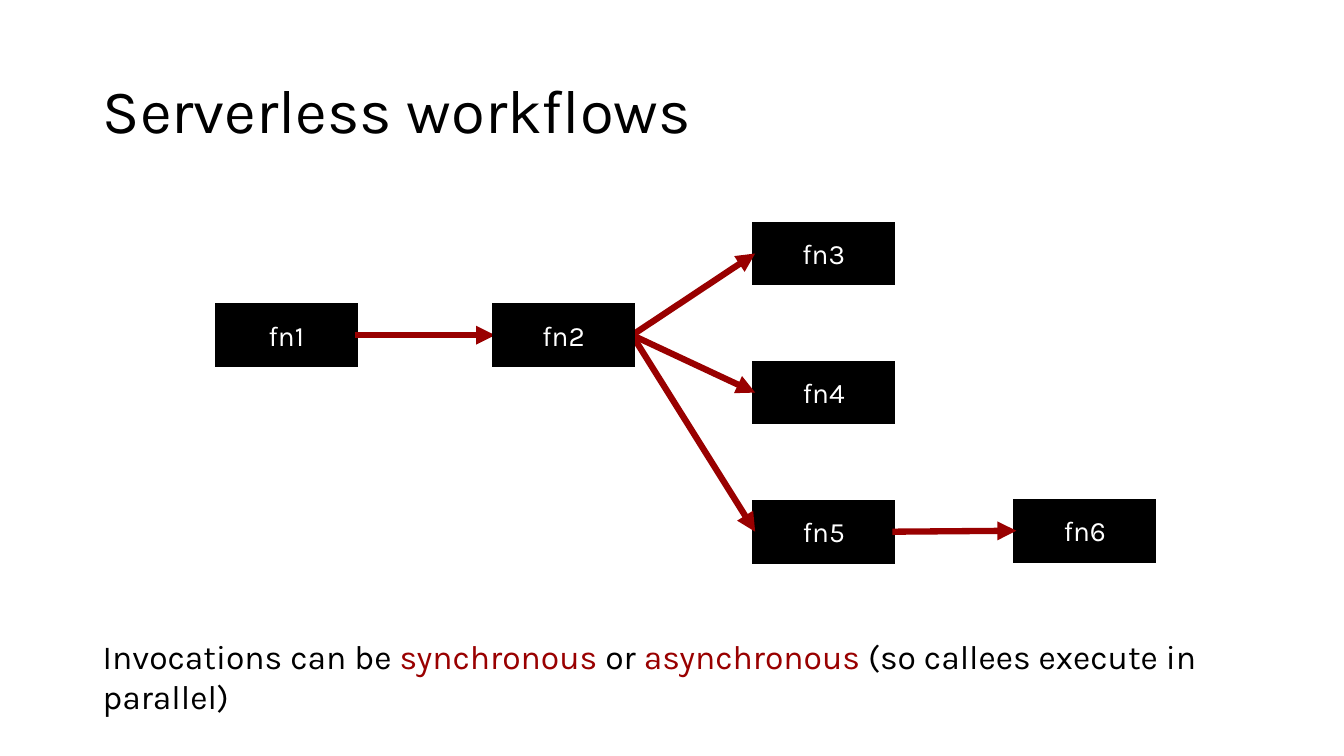
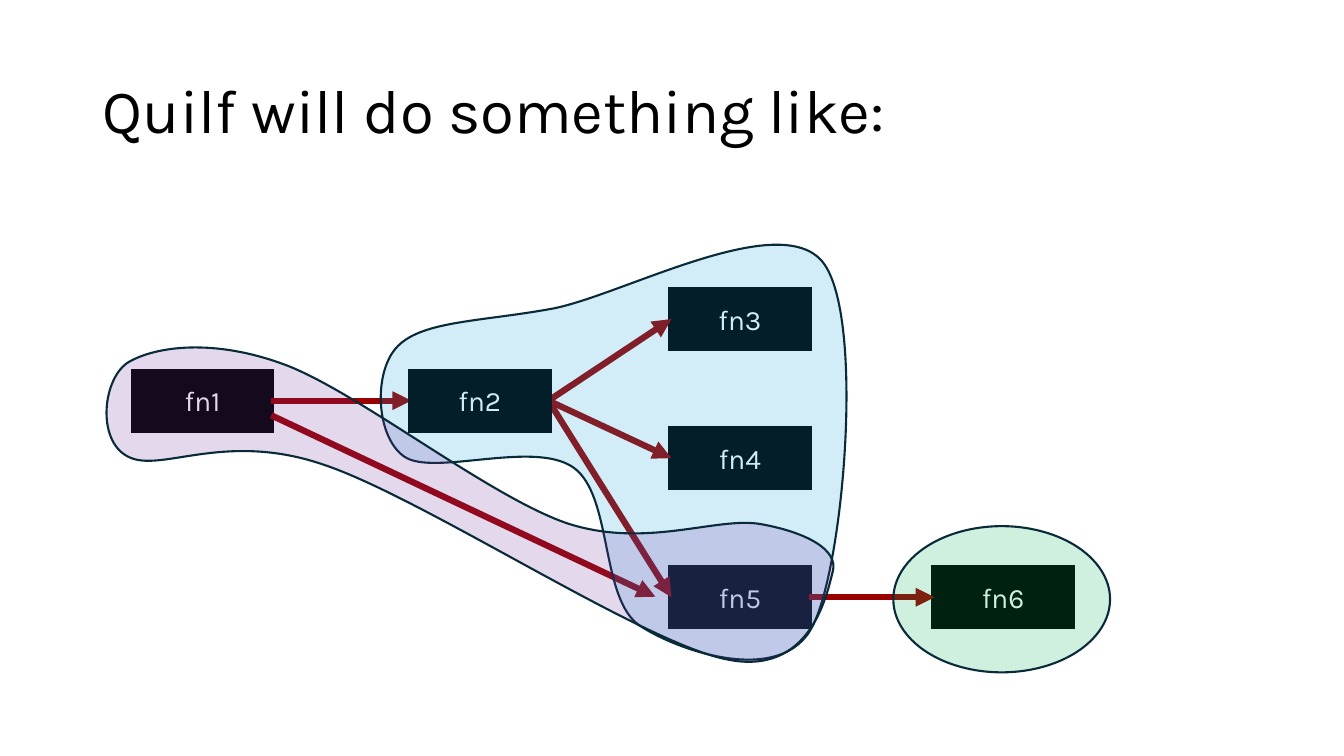
from dataclasses import dataclass

from lxml.etree import SubElement
from pptx import Presentation
from pptx.dml.color import RGBColor
from pptx.enum.shapes import MSO_CONNECTOR, MSO_SHAPE
from pptx.enum.text import MSO_ANCHOR, MSO_AUTO_SIZE, PP_ALIGN
from pptx.oxml.ns import qn
from pptx.util import Inches, Pt


@dataclass(frozen=True)
class Theme:
    font: str = "Karla"
    ink: str = "000000"
    paper: str = "FFFFFF"
    accent: str = "990000"
    outline: str = "092A39"
    blue: str = "19A2DA"
    purple: str = "7030A0"
    green: str = "00B050"
    region_alpha: int = 19
    title_size: int = 44
    text_size: int = 24
    box_size: int = 20
    heavy_line: float = 4.5
    thin_line: float = 1.5


LEFT_SITE, RIGHT_SITE = 1, 3
BOX_WIDTH, BOX_HEIGHT = 1.36, 0.57
BOX_OFFSETS = {
    "fn1": (0, 0),
    "fn2": (2.75, 0),
    "fn3": (5.33, -0.81),
    "fn4": (5.33, 0.57),
    "fn5": (5.33, 1.95),
}
CALLS = [("fn1", "fn2"), ("fn2", "fn3"), ("fn2", "fn4"), ("fn2", "fn5"), ("fn5", "fn6")]

FAN_OUT_BOUNDS = (3.78, 2.43, 4.62, 4.12)
FAN_OUT_CURVES = [
    ((3.7, 3.67), (3.72, 4.33), (4.01, 4.53)),
    ((4.3, 4.73), (5.3, 4.36), (5.69, 4.64)),
    ((6.08, 4.92), (5.95, 5.95), (6.35, 6.21)),
    ((6.75, 6.47), (7.76, 6.81), (8.06, 6.21)),
    ((8.37, 5.61), (8.58, 3.13), (8.16, 2.6)),
    ((7.73, 2.07), (6.19, 2.92), (5.49, 3.06)),
    ((4.79, 3.19), (4.2, 3.18), (3.95, 3.43)),
]
SHORTCUT_BOUNDS = (1.06, 3.45, 7.21, 3.12)
SHORTCUT_CURVES = [
    ((1.02, 3.74), (0.95, 4.37), (1.27, 4.53)),
    ((1.59, 4.7), (2.22, 4.27), (3.21, 4.61)),
    ((4.2, 4.94), (6.36, 6.37), (7.2, 6.54)),
    ((8.04, 6.72), (8.2, 5.9), (8.26, 5.67)),
    ((8.32, 5.45), (7.99, 5.28), (7.55, 5.2)),
    ((7.11, 5.12), (6.41, 5.45), (5.62, 5.19)),
    ((4.84, 4.92), (3.55, 3.89), (2.83, 3.62)),
    ((2.11, 3.35), (1.54, 3.44), (1.28, 3.59)),
]


class Deck:
    def __init__(self, theme):
        self.theme = theme
        self.presentation = Presentation()
        self.presentation.slide_width = Inches(13.33)
        self.presentation.slide_height = Inches(7.5)
        self.slide = None

    def add_slide(self, title):
        layout = self.presentation.slide_layouts.get_by_name("Title Only")
        self.slide = self.presentation.slides.add_slide(layout)
        shape = self.slide.shapes.title
        shape.left, shape.top = Inches(0.92), Inches(0.4)
        shape.width, shape.height = Inches(11.5), Inches(1.45)
        text_frame = shape.text_frame
        text_frame.text = title
        text_frame.auto_size = MSO_AUTO_SIZE.NONE
        text_frame.vertical_anchor = MSO_ANCHOR.MIDDLE
        paragraph = text_frame.paragraphs[0]
        paragraph.alignment = PP_ALIGN.LEFT
        paragraph.line_spacing = 0.9
        self.format_run(paragraph.runs[0], self.theme.title_size, self.theme.ink)

    def format_run(self, run, size, color):
        run.font.name = self.theme.font
        run.font.size = Pt(size)
        run.font.color.rgb = RGBColor.from_string(color)

    def format_line(self, line, color, width):
        line.color.rgb = RGBColor.from_string(color)
        line.width = Pt(width)

    def add_box(self, label, left, top):
        shape = self.slide.shapes.add_shape(
            MSO_SHAPE.RECTANGLE,
            Inches(left), Inches(top), Inches(BOX_WIDTH), Inches(BOX_HEIGHT),
        )
        shape.shadow.inherit = False
        shape.fill.solid()
        shape.fill.fore_color.rgb = RGBColor.from_string(self.theme.ink)
        self.format_line(shape.line, self.theme.ink, self.theme.heavy_line)
        SubElement(shape.element.spPr.find(qn("a:ln")), qn("a:miter"), lim="800000")
        text_frame = shape.text_frame
        text_frame.text = label
        text_frame.vertical_anchor = MSO_ANCHOR.MIDDLE
        paragraph = text_frame.paragraphs[0]
        paragraph.alignment = PP_ALIGN.CENTER
        self.format_run(paragraph.runs[0], self.theme.box_size, self.theme.paper)
        return shape

    def add_arrow(self, start=(0, 0), end=(0, 0)):
        connector = self.slide.shapes.add_connector(
            MSO_CONNECTOR.STRAIGHT, *(Inches(value) for value in (*start, *end))
        )
        self.format_line(connector.line, self.theme.accent, self.theme.heavy_line)
        properties = connector.element.spPr
        SubElement(properties.find(qn("a:ln")), qn("a:tailEnd"), type="triangle")
        SubElement(properties, qn("a:effectLst"))
        return connector

    def add_workflow(self, left, top, last_box):
        boxes = {
            name: self.add_box(name, left + across, top + down)
            for name, (across, down) in BOX_OFFSETS.items()
        }
        boxes["fn6"] = self.add_box("fn6", *last_box)
        for caller, callee in CALLS:
            arrow = self.add_arrow()
            arrow.begin_connect(boxes[caller], RIGHT_SITE)
            arrow.end_connect(boxes[callee], LEFT_SITE)
        branching_box = boxes["fn2"].element
        branching_box.getparent().append(branching_box)

    def add_text(self, left, top, width, height, pieces):
        shape = self.slide.shapes.add_textbox(
            Inches(left), Inches(top), Inches(width), Inches(height)
        )
        shape.text_frame.word_wrap = True
        paragraph = shape.text_frame.paragraphs[0]
        for text, color in pieces:
            run = paragraph.add_run()
            run.text = text
            self.format_run(run, self.theme.text_size, color)

    def format_region(self, shape, color):
        shape.shadow.inherit = False
        shape.fill.solid()
        shape.fill.fore_color.rgb = RGBColor.from_string(color)
        fill_color = shape.element.spPr.find(qn("a:solidFill")).find(qn("a:srgbClr"))
        SubElement(fill_color, qn("a:alpha"), val=str(self.theme.region_alpha * 1000))
        self.format_line(shape.line, self.theme.outline, self.theme.thin_line)

    def add_curved_region(self, bounds, curves, color):
        left, top, width, height = (Inches(value) for value in bounds)
        anchors = [(Inches(x), Inches(y)) for *_, (x, y) in curves]
        builder = self.slide.shapes.build_freeform(*anchors[-1])
        builder.add_line_segments(anchors, close=True)
        shape = builder.convert_to_shape()
        shape.left, shape.top, shape.width, shape.height = left, top, width, height

        outline = next(shape.element.iter(qn("a:path")))
        outline.set("w", str(width))
        outline.set("h", str(height))
        for segment in list(outline):
            outline.remove(segment)
        commands = [("a:moveTo", curves[-1][-1:])]
        commands += [("a:cubicBezTo", curve) for curve in curves]
        for tag, points in commands:
            command = SubElement(outline, qn(tag))
            for x, y in points:
                SubElement(
                    command, qn("a:pt"), x=str(Inches(x) - left), y=str(Inches(y) - top)
                )
        SubElement(outline, qn("a:close"))
        self.format_region(shape, color)

    def add_oval_region(self, left, top, width, height, color):
        shape = self.slide.shapes.add_shape(
            MSO_SHAPE.OVAL, Inches(left), Inches(top), Inches(width), Inches(height)
        )
        self.format_region(shape, color)


def main():
    theme = Theme()
    deck = Deck(theme)

    deck.add_slide("Serverless workflows")
    deck.add_workflow(2.16, 3.04, last_box=(10.08, 4.98))
    deck.add_text(0.92, 6.26, 11.79, 0.5, [
        ("Invocations can be ", theme.ink),
        ("synchronous", theme.accent),
        (" or ", theme.ink),
        ("asynchronous", theme.accent),
        (" (so callees execute in parallel)", theme.ink),
    ])

    deck.add_slide("Quilf will do something like:")
    deck.add_workflow(1.33, 3.69, last_box=(9.27, 5.64))
    deck.add_arrow((2.69, 4.12), (6.5, 5.92))
    deck.add_curved_region(FAN_OUT_BOUNDS, FAN_OUT_CURVES, theme.blue)
    deck.add_curved_region(SHORTCUT_BOUNDS, SHORTCUT_CURVES, theme.purple)
    deck.add_oval_region(8.86, 5.22, 2.15, 1.45, theme.green)

    deck.presentation.save("out.pptx")


if __name__ == "__main__":
    main()
